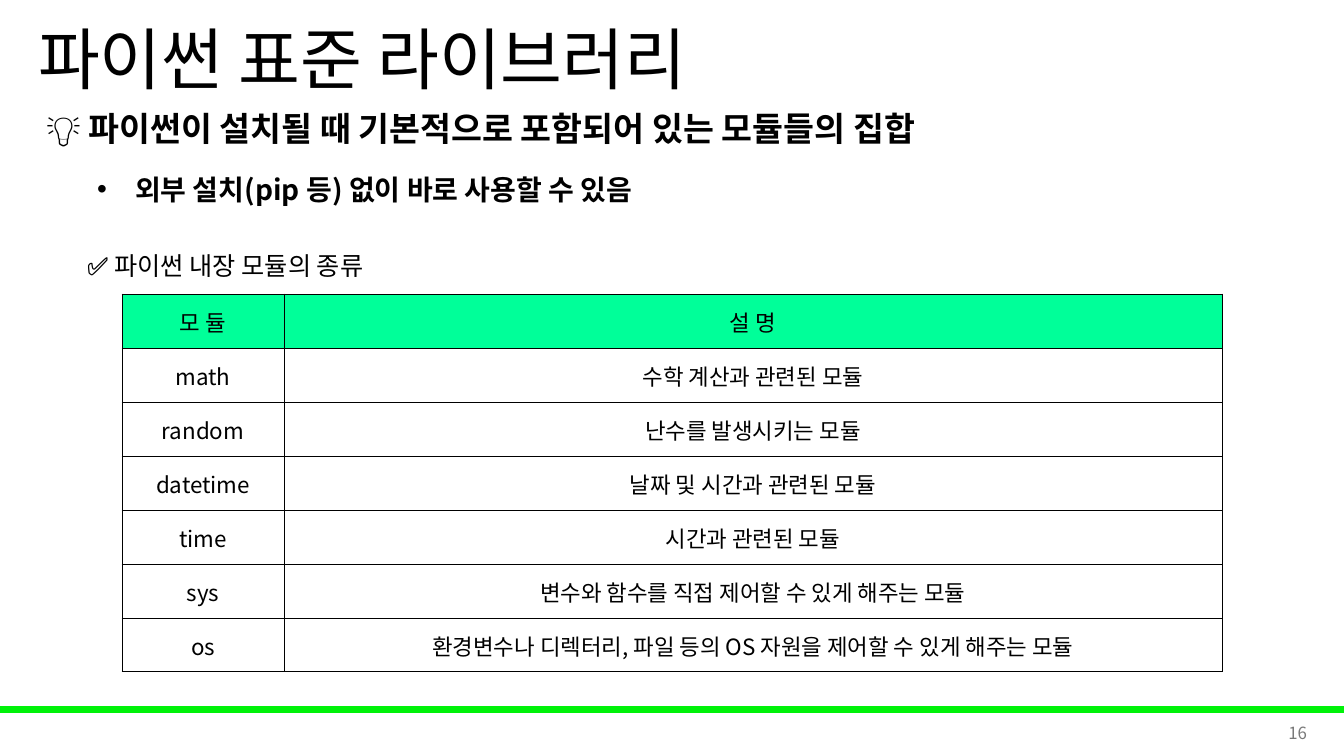
from lxml.etree import SubElement
from pptx import Presentation
from pptx.dml.color import RGBColor
from pptx.enum.shapes import MSO_SHAPE
from pptx.enum.text import MSO_ANCHOR, MSO_AUTO_SIZE, PP_ALIGN
from pptx.oxml.ns import qn
from pptx.util import Emu, Pt

TITLE = "파이썬 표준 라이브러리"
LEAD = "💡 파이썬이 설치될 때 기본적으로 포함되어 있는 모듈들의 집합"
POINT = "외부 설치(pip 등) 없이 바로 사용할 수 있음"
LABEL = "✅ 파이썬 내장 모듈의 종류"
PAGE = "16"
ROWS = [
    ("모 듈", "설 명"),
    ("math", "수학 계산과 관련된 모듈"),
    ("random", "난수를 발생시키는 모듈"),
    ("datetime", "날짜 및 시간과 관련된 모듈"),
    ("time", "시간과 관련된 모듈"),
    ("sys", "변수와 함수를 직접 제어할 수 있게 해주는 모듈"),
    ("os", "환경변수나 디렉터리, 파일 등의 OS 자원을 제어할 수 있게 해주는 모듈"),
]
COLS = (162, 938)
ROW = 54
FONT = "Noto Sans CJK KR"
BLACK, GREY, GREEN, MINT = "000000", "797979", "00F209", "00FF99"


def px(n):
    return Emu(round(n * 914400 / 100.8))


def rgb(code):
    return RGBColor.from_string(code)


def place(shape, x, y, w, h):
    shape.left, shape.top, shape.width, shape.height = map(px, (x, y, w, h))


def write(para, text, size, color=BLACK, bold=False, align=PP_ALIGN.LEFT, space=1.0, before=0):
    para.alignment = align
    para.line_spacing = space
    para.space_before = Pt(before)
    run = para.add_run()
    run.text = text
    font = run.font
    font.size, font.bold, font.name = Pt(size), bold, FONT
    font.color.rgb = rgb(color)
    SubElement(run._r.get_or_add_rPr(), qn("a:ea"), typeface=FONT)


def mark(para, left, indent, sign=None):
    props = para._p.get_or_add_pPr()
    props.set("marL", str(px(left)))
    props.set("indent", str(px(indent)))
    if sign:
        SubElement(props, qn("a:buFont"), typeface="Arial")
        SubElement(props, qn("a:buChar"), char=sign)
    else:
        SubElement(props, qn("a:buNone"))


def add_box(slide, x, y, w, h):
    frame = slide.shapes.add_textbox(*map(px, (x, y, w, h))).text_frame
    frame.word_wrap = True
    return frame


def edge(cell):
    props = cell._tc.get_or_add_tcPr()
    for side in ("lnL", "lnR", "lnT", "lnB"):
        line = SubElement(props, qn("a:" + side), w=str(Pt(0.5)))
        fill = SubElement(line, qn("a:solidFill"))
        SubElement(fill, qn("a:srgbClr"), val=BLACK)


def add_grid(slide, x, y):
    size = map(px, (x, y, sum(COLS), ROW * len(ROWS)))
    table = slide.shapes.add_table(len(ROWS), len(COLS), *size).table
    table.first_row = table.horz_banding = False
    for col, width in zip(table.columns, COLS):
        col.width = px(width)
    for i, row in enumerate(ROWS):
        table.rows[i].height = px(ROW)
        for j, text in enumerate(row):
            cell = table.cell(i, j)
            cell.margin_left = cell.margin_right = cell.margin_top = px(1)
            cell.margin_bottom = 0
            cell.vertical_anchor = MSO_ANCHOR.MIDDLE
            edge(cell)
            if i:
                cell.fill.background()
            else:
                cell.fill.solid()
                cell.fill.fore_color.rgb = rgb(MINT)
            write(cell.text_frame.paragraphs[0], text, 16, align=PP_ALIGN.CENTER)


def main():
    """Build the slide on Python's standard library."""
    deck = Presentation()
    deck.slide_width, deck.slide_height = px(1344), px(756)
    slide = deck.slides.add_slide(deck.slide_layouts[1])

    bar = slide.shapes.add_shape(MSO_SHAPE.RECTANGLE, *map(px, (0, 707, 1344, 5)))
    bar.shadow.inherit = False
    bar.fill.solid()
    bar.fill.fore_color.rgb = bar.line.color.rgb = rgb(GREEN)
    bar.line.width = Pt(1)

    title, body = slide.shapes.title, slide.placeholders[1]
    place(title, 28, 0, 1159, 126)
    place(body, 36, 83, 1290, 147)
    for shape in (title, body):
        shape.text_frame.auto_size = MSO_AUTO_SIZE.NONE
        shape.text_frame.word_wrap = True
    title.text_frame.vertical_anchor = MSO_ANCHOR.MIDDLE
    write(title.text_frame.paragraphs[0], TITLE, 48, space=0.9)

    lead = body.text_frame.paragraphs[0]
    mark(lead, 0, 0)
    write(lead, LEAD, 24, bold=True, space=1.5)
    point = body.text_frame.add_paragraph()
    point.level = 1
    mark(point, 89, -38, "•")
    write(point, POINT, 20, bold=True, space=1.5, before=5)

    label = add_box(slide, 77, 230, 672, 50)
    write(label.paragraphs[0], LABEL, 18, space=1.5)
    add_grid(slide, 122, 294)

    page = add_box(slide, 1015, 713, 302, 40)
    page.vertical_anchor = MSO_ANCHOR.MIDDLE
    write(page.paragraphs[0], PAGE, 12, GREY, align=PP_ALIGN.RIGHT)
    deck.save("out.pptx")


if __name__ == "__main__":
    main()
